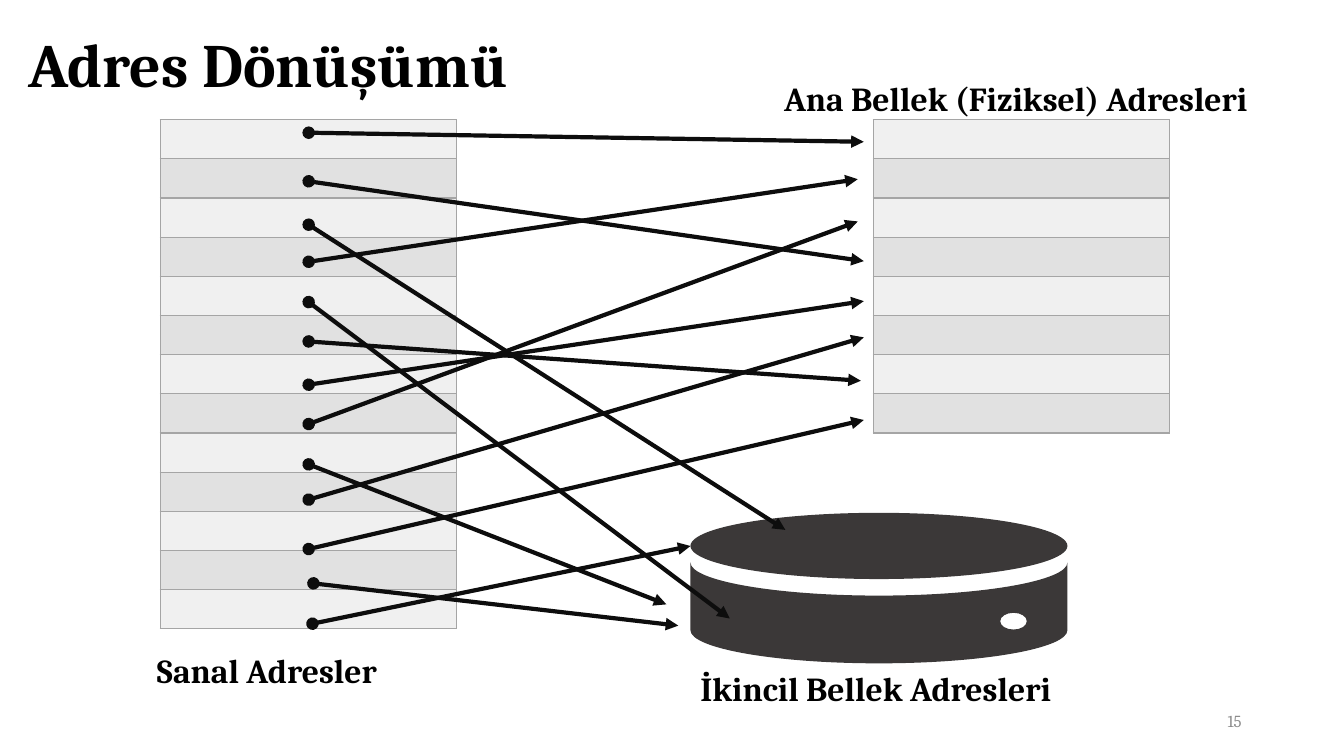
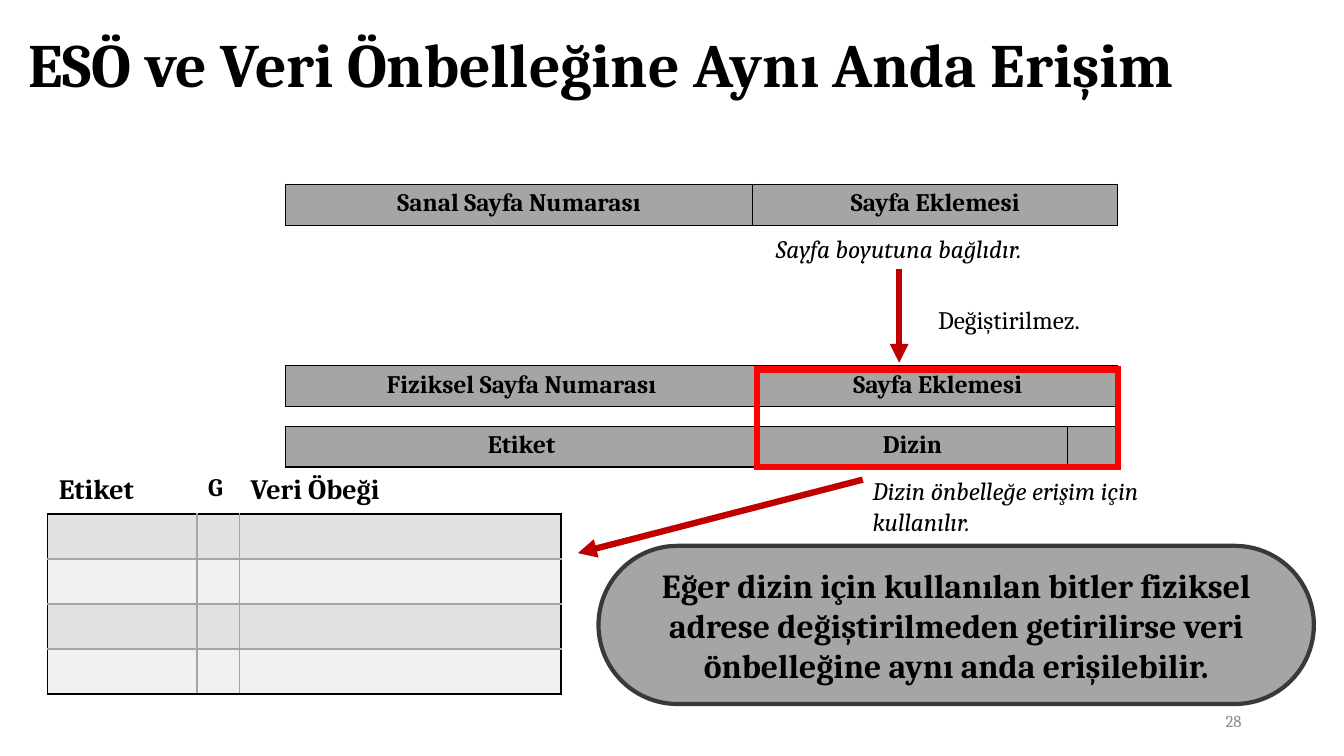
from lxml import etree
from pptx import Presentation
from pptx import util as u
from pptx.dml import color
from pptx.enum import lang, shapes, text
from pptx.oxml import ns

Pt = u.Pt
FONT = "Cambria"
BLACK, WHITE, INK = "000000", "FFFFFF", "0D0D0D"
GREY, DARK, MUTED = "A5A5A5", "3B3838", "8C8C8C"
LIGHT_ROW, SHADED_ROW = "F0F0F0", "E1E1E1"
RED, DEEP_RED = "FF0000", "C00000"
LEFT, CENTER, RIGHT = text.PP_ALIGN.LEFT, text.PP_ALIGN.CENTER, text.PP_ALIGN.RIGHT
MIDDLE = text.MSO_ANCHOR.MIDDLE
ROW, BAR = 28, 29.2
ROUNDING = 0.55  # length of a curve's handle on a quarter of an ellipse


# Shared helpers
def rgb(value):
    return color.RGBColor.from_string(value)


def points(*lengths):
    return [Pt(length) for length in lengths]


def write(frame, words, size, bold=False, italic=False, align=LEFT, tint=BLACK):
    frame.text = words
    frame.word_wrap = True
    for para in frame.paragraphs:
        para.alignment = align
        for span in para.runs:
            font = span.font
            font.name, font.size = FONT, Pt(size)
            font.bold, font.italic = bold, italic
            font.color.rgb = rgb(tint)
            font.language_id = lang.MSO_LANGUAGE_ID.TURKISH


def add_label(page, box, words, size, **style):
    label = page.shapes.add_textbox(*points(*box))
    write(label.text_frame, words, size, **style)
    return label


def paint(shape, fill=None, line=None, width=1):
    shape.shadow.inherit = False
    if fill:
        shape.fill.solid()
        shape.fill.fore_color.rgb = rgb(fill)
    else:
        shape.fill.background()
    if line:
        shape.line.color.rgb = rgb(line)
        shape.line.width = Pt(width)
        etree.SubElement(shape.line._get_or_add_ln(), ns.qn("a:miter"), lim="800000")
    else:
        shape.line.fill.background()


def add_arrow(page, start, end, tint, width, head=None):
    arrow = page.shapes.add_connector(shapes.MSO_CONNECTOR.STRAIGHT, *points(*start, *end))
    arrow.line.color.rgb = rgb(tint)
    arrow.line.width = Pt(width)
    ln = arrow.line._get_or_add_ln()
    if head:
        etree.SubElement(ln, ns.qn("a:headEnd"), type=head)
    etree.SubElement(ln, ns.qn("a:tailEnd"), type="triangle")
    etree.SubElement(arrow._element.spPr, ns.qn("a:effectLst"))


def paint_cell(cell, fill, edges):
    """Edges maps the sides L, R, T and B to colours."""
    cell.fill.solid()
    cell.fill.fore_color.rgb = rgb(fill)
    properties = cell._tc.get_or_add_tcPr()
    sides = [side for side in "LRTB" if side in edges]
    for place, side in enumerate(sides):
        ln = etree.Element(ns.qn("a:ln" + side), w=str(Pt(1)))
        solid = etree.SubElement(ln, ns.qn("a:solidFill"))
        etree.SubElement(solid, ns.qn("a:srgbClr"), val=edges[side])
        properties.insert(place, ln)


def add_grid(page, left, top, widths, row_height, row_count):
    frame = page.shapes.add_table(
        row_count, len(widths),
        *points(left, top, sum(widths), row_height * row_count))
    table = frame.table
    table.first_row = table.horz_banding = False
    for column, width in zip(table.columns, widths):
        column.width = Pt(width)
    for row in table.rows:
        row.height = Pt(row_height)
    for cell in table.iter_cells():
        cell.margin_top = cell.margin_bottom = 0
    return table


def write_cell(cell, words, size, inset=3.6, align=LEFT):
    cell.margin_top = cell.margin_bottom = Pt(inset)
    write(cell.text_frame, words, size, bold=True, align=align)


def add_page(deck, title, number):
    page = deck.slides.add_slide(deck.slide_layouts[5])
    head = page.shapes.title
    head.left, head.top, head.width, head.height = points(13, 11, 926, 75)
    write(head.text_frame, title, 44, bold=True)
    head.text_frame.auto_size = text.MSO_AUTO_SIZE.NONE
    head.text_frame.vertical_anchor = MIDDLE
    head.text_frame.paragraphs[0].line_spacing = 0.9
    footer = add_label(page, (678, 500.5, 216, 29), str(number), 12, align=RIGHT, tint=MUTED)
    footer.text_frame.vertical_anchor = MIDDLE
    return page


# Address translation
def add_memory(page, left, top, row_count):
    table = add_grid(page, left, top, [211.6], ROW, row_count)
    for index, cell in enumerate(table.iter_cells()):
        paint_cell(cell, SHADED_ROW if index % 2 else LIGHT_ROW, dict.fromkeys("LRTB", GREY))


def quarter(center, start, end):
    """Handles and end of a curve; start and end are offsets from the center."""
    handles = [[near + ROUNDING * far for near, far in zip(start, end)],
               [far + ROUNDING * near for near, far in zip(start, end)], end]
    return [points(center[0] + x, center[1] + y) for x, y in handles]


def bend(shape, straight):
    """Turn each three line ends into one curve, save for the straight ones."""
    ends = [end for index, end in enumerate(shape._element.iter(ns.qn("a:lnTo")))
            if index not in straight]
    for first in range(0, len(ends), 3):
        curve = etree.Element(ns.qn("a:cubicBezTo"))
        ends[first].addprevious(curve)
        for end in ends[first:first + 3]:
            curve.append(end[0])
            end.getparent().remove(end)


def add_disk(page, left, top, width, height):
    parts = page.shapes.add_group_shape().shapes
    half, depth = width / 2, height * 0.22
    upper = (left + half, top + 1.5 * depth)
    lower = (left + half, top + height - depth)
    lid = parts.add_shape(shapes.MSO_SHAPE.OVAL, *points(left, top, width, 2 * depth))
    paint(lid, DARK)
    # Body with a small opening
    west, south, east = (-half, 0), (0, depth), (half, 0)
    builder = parts.build_freeform(*points(upper[0], upper[1] + depth))
    builder.add_line_segments(
        quarter(upper, south, west) + [points(left, lower[1])]
        + quarter(lower, west, south) + quarter(lower, south, east)
        + [points(left + width, upper[1])] + quarter(upper, east, south))
    center = (left + width * 0.857, top + height * 0.72)
    compass = [(9.5, 0), (0, 6), (-9.5, 0), (0, -6), (9.5, 0)]
    builder.move_to(*points(center[0] + 9.5, center[1]))
    for start, end in zip(compass, compass[1:]):
        builder.add_line_segments(quarter(center, start, end), close=False)
    body = builder.convert_to_shape()
    bend(body, straight=(3, 10))
    paint(body, DARK)


def add_mapping(page, left, top):
    add_memory(page, left, top, 13)
    add_memory(page, left + 509.3, top, 8)
    add_disk(page, left + 378.7, top + 280.8, 269.3, 107.5)
    for x, y, width, words in (
            (378.7, 388.3, 293, "İkincil Bellek Adresleri"),
            (438.5, -33.5, 354, "Ana Bellek (Fiziksel) Adresleri"),
            (-9.5, 375, 275, "Sanal Adresler")):
        add_label(page, (left + x, top + y, width, 36), words, 24, bold=True)
    # Start and end of each arrow, from the corner of the virtual memory
    for start_x, start_y, end_x, end_y in (
            (106, 9.3, 502.5, 15.8), (106, 44, 502.5, 101),
            (106, 75, 446.5, 293), (106, 130.3, 406.8, 356.3),
            (106, 189.3, 502.5, 129.6), (106, 217.4, 498.2, 72.7),
            (106, 246.2, 361.5, 346.2), (106, 101.5, 498.2, 42.5),
            (106, 158.4, 500.4, 186.5), (106, 271.4, 502.5, 155.5),
            (106, 306.7, 502.5, 214.5), (109.4, 331.2, 370, 361.4),
            (108.7, 360, 378.7, 304.5)):
        add_arrow(page, (left + start_x, top + start_y),
                  (left + end_x, top + end_y), INK, 3, head="oval")


# Simultaneous access
def add_bar(page, left, top, fields):
    table = add_grid(page, left, top, [width for _, width in fields], BAR, 1)
    for cell, (words, _) in zip(table.iter_cells(), fields):
        paint_cell(cell, GREY, dict.fromkeys("LRTB", BLACK))
        if words:
            write_cell(cell, words, 18, align=CENTER)


def add_addresses(page, left, top):
    add_bar(page, left, top, [("Sanal Sayfa Numarası", 334), ("Sayfa Eklemesi", 260.5)])
    add_bar(page, left, top + 129.6, [("Fiziksel Sayfa Numarası", 337.5), ("Sayfa Eklemesi", 257)])
    add_bar(page, left, top + 172.8, [("Etiket", 337.5), ("Dizin", 221), ("", 38)])
    add_label(page, (left + 331.2, top + 31.5, 214, 29), "Sayfa boyutuna bağlıdır.", 18,
              italic=True, align=CENTER)
    add_label(page, (left + 459.2, top + 82.2, 259, 29), "Değiştirilmez.", 18)
    add_label(page, (left + 412.5, top + 204.7, 270, 51),
              "Dizin önbelleğe erişim için kullanılır.", 18, italic=True)
    for start_x, start_y, end_x, end_y in ((438.5, 60.5, 438.5, 127.5),
                                           (412.5, 211, 209, 263.5)):
        add_arrow(page, (left + start_x, top + start_y),
                  (left + end_x, top + end_y), DEEP_RED, 4.5)
    marker = page.shapes.add_shape(
        shapes.MSO_SHAPE.RECTANGLE, *points(left + 337, top + 132.4, 257.6, 69.6))
    paint(marker, line=RED, width=4.5)


def add_cache(page, left, top):
    widths, row_count = [106.5, 30.5, 229.5], 5
    table = add_grid(page, left, top, widths, 32.2, row_count)
    for column, (words, size) in enumerate((("Etiket", 20), ("G", 18), ("Veri Öbeği", 20))):
        cell = table.cell(0, column)
        paint_cell(cell, WHITE, {"B": BLACK})
        cell.margin_left = cell.margin_right = Pt(7.9)
        write_cell(cell, words, size, inset=4.3)
    for row in range(1, row_count):
        for column in range(len(widths)):
            outer = {"L": column == 0, "R": column == len(widths) - 1,
                     "T": row == 1, "B": row == row_count - 1}
            edges = {side: BLACK if is_outer else GREY for side, is_outer in outer.items()}
            paint_cell(table.cell(row, column), SHADED_ROW if row % 2 else LIGHT_ROW, edges)


def add_conclusion(page, box, words):
    pill = page.shapes.add_shape(shapes.MSO_SHAPE.ROUNDED_RECTANGLE, *points(*box))
    pill.adjustments[0] = 0.5
    paint(pill, GREY, DARK, 3)
    write(pill.text_frame, words, 24, bold=True, align=CENTER)
    pill.text_frame.vertical_anchor = MIDDLE


def main():
    deck = Presentation()
    deck.slide_width, deck.slide_height = points(960, 540)

    page = add_page(deck, "Adres Dönüşümü", 15)
    add_mapping(page, 114.5, 85.5)

    page = add_page(deck, "ESÖ ve Veri Önbelleğine Aynı Anda Erişim", 28)
    add_cache(page, 34.2, 334.5)
    add_addresses(page, 203.8, 131.6)
    add_conclusion(page, (427.5, 389.9, 511, 113),
                   "Eğer dizin için kullanılan bitler fiziksel adrese değiştirilmeden "
                   "getirilirse veri önbelleğine aynı anda erişilebilir.")
    deck.save("out.pptx")


if __name__ == "__main__":
    main()
